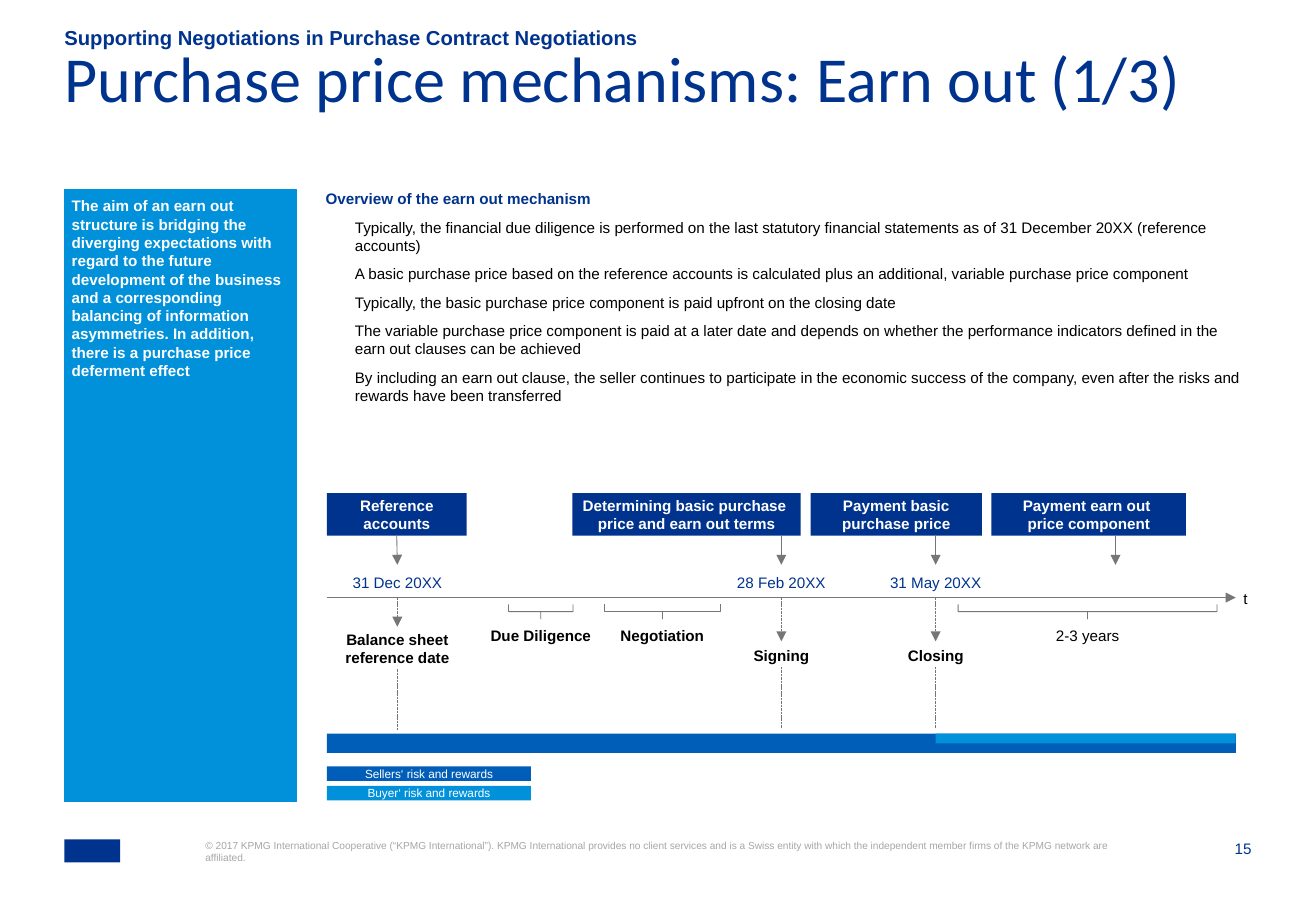
from dataclasses import dataclass

from pptx import Presentation
from pptx.dml.color import RGBColor
from pptx.enum.dml import MSO_LINE
from pptx.enum.shapes import MSO_CONNECTOR, MSO_SHAPE
from pptx.enum.text import MSO_ANCHOR, MSO_AUTO_SIZE, PP_ALIGN
from pptx.oxml.ns import qn
from pptx.util import Emu, Inches, Pt

LEFT, CENTER, RIGHT = PP_ALIGN.LEFT, PP_ALIGN.CENTER, PP_ALIGN.RIGHT
TOP, MIDDLE, BOTTOM = MSO_ANCHOR.TOP, MSO_ANCHOR.MIDDLE, MSO_ANCHOR.BOTTOM
NO_AUTOFIT = MSO_AUTO_SIZE.NONE
RECTANGLE, BRACE = MSO_SHAPE.RECTANGLE, MSO_SHAPE.RIGHT_BRACE
STRAIGHT, DASHED = MSO_CONNECTOR.STRAIGHT, MSO_LINE.SQUARE_DOT
COMPARISON_LAYOUT = 4
BOTTOM_SIDE = 2
COLUMNS, ROWS = 108.3, 75


@dataclass(frozen=True)
class Theme:
    navy: str = "00338D"
    blue: str = "005EB8"
    sky: str = "0091DA"
    grey: str = "747678"
    pale: str = "A6A6A6"
    black: str = "000000"
    white: str = "FFFFFF"
    font: str = "Arial"
    title_font: str = "Calibri"
    title: int = 38
    subtitle: int = 12
    body: int = 9
    legend: int = 7
    footnote: int = 6
    hairline: float = 0.5
    outline: float = 0.75
    gap: int = 6


class TimelineSlide:
    def __init__(self, deck, theme):
        self.theme = theme
        self.slide = deck.slides.add_slide(deck.slide_layouts[COMPARISON_LAYOUT])
        self.column = deck.slide_width / COLUMNS
        self.row = deck.slide_height / ROWS

    def point(self, x, y):
        return Emu(round(x * self.column)), Emu(round(y * self.row))

    def fill_text(self, box, lines, size, color, bold=False, align=LEFT,
                  anchor=TOP, inset=0, font=None, gap=0):
        frame = box.text_frame
        frame.text = lines[0]
        frame.word_wrap = True
        frame.auto_size = NO_AUTOFIT
        frame.vertical_anchor = anchor
        frame.margin_left = frame.margin_right = Inches(inset)
        frame.margin_top = frame.margin_bottom = Inches(inset)
        for line in lines[1:]:
            frame.add_paragraph().text = line
        for paragraph in frame.paragraphs:
            paragraph.alignment = align
            paragraph.space_before, paragraph.space_after = Pt(0), Pt(gap)
            for run in paragraph.runs:
                self.style(run, size, color, bold, font)
        return frame.paragraphs

    def style(self, run, size, color, bold, font=None):
        run.font.name = font or self.theme.font
        run.font.size = Pt(size)
        run.font.bold = bold
        run.font.color.rgb = RGBColor.from_string(color)

    def placeholder(self, idx, x, y, width, height, lines, size, color, **style):
        box = self.slide.placeholders[idx]
        box.left, box.top = self.point(x, y)
        box.width, box.height = self.point(width, height)
        paragraphs = self.fill_text(box, lines, size, color, **style)
        for paragraph in paragraphs:
            self.unbullet(paragraph, 0)
        return box, paragraphs

    def unbullet(self, paragraph, indent):
        properties = paragraph._p.get_or_add_pPr()
        properties.set("marL", str(Inches(indent)))
        properties.set("indent", "0")
        if properties.find(qn("a:buNone")) is None:
            properties.append(properties.makeelement(qn("a:buNone"), {}))

    def drop(self, idx):
        unused = self.slide.placeholders[idx]._element
        unused.getparent().remove(unused)

    def label(self, x, y, width, height, text, size, color, **style):
        box = self.slide.shapes.add_textbox(*self.point(x, y), *self.point(width, height))
        self.fill_text(box, [text], size, color, **style)

    def bar(self, x, y, width, height, fill, text="", size=9, **style):
        bar = self.slide.shapes.add_shape(
            RECTANGLE, *self.point(x, y), *self.point(width, height))
        bar.shadow.inherit = False
        bar.fill.solid()
        bar.fill.fore_color.rgb = RGBColor.from_string(fill)
        bar.line.fill.background()
        if text:
            self.fill_text(bar, [text], size, self.theme.white, align=CENTER,
                           anchor=MIDDLE, **style)
        return bar

    def outline(self, shape, color, width):
        shape.line.color.rgb = RGBColor.from_string(color)
        shape.line.width = Pt(width)

    def line(self, x1, y1, x2, y2, arrow=True, dashed=False, source=None):
        line = self.slide.shapes.add_connector(
            STRAIGHT, *self.point(x1, y1), *self.point(x2, y2))
        if source is not None:
            line.begin_connect(source, BOTTOM_SIDE)
        self.outline(line, self.theme.grey, self.theme.hairline)
        if dashed:
            line.line.dash_style = DASHED
        properties = line._element.spPr
        if arrow:
            stroke = properties.find(qn("a:ln"))
            stroke.append(stroke.makeelement(qn("a:tailEnd"), {"type": "triangle"}))
        properties.append(properties.makeelement(qn("a:effectLst"), {}))

    def bracket(self, center, span, y, depth):
        brace = self.slide.shapes.add_shape(
            BRACE, *self.point(center - depth / 2, y - span / 2), *self.point(depth, span))
        brace.rotation = 90
        brace.adjustments[0] = 0
        brace.adjustments[1] = 0.5
        brace.shadow.inherit = False
        brace.fill.background()
        self.outline(brace, self.theme.grey, self.theme.hairline)


def add_texts(page, theme):
    _, (title,) = page.placeholder(
        0, 5.3, 4.9, 97.5, 7.9, ["Purchase price mechanisms: Earn out (1/3)"],
        theme.title, theme.navy, font=theme.title_font)
    title.line_spacing = 0.7
    page.placeholder(
        1, 5.3, 2.2, 94, 1.9, ["Supporting Negotiations in Purchase Contract Negotiations"],
        theme.subtitle, theme.navy, bold=True, anchor=BOTTOM)
    aim, _ = page.placeholder(
        2, 5.3, 15.6, 19.1, 50.4,
        ["The aim of an earn out structure is bridging the diverging expectations with regard "
         "to the future development of the business and a corresponding balancing of "
         "information asymmetries. In addition, there is a purchase price deferment effect"],
        theme.body, theme.white, bold=True, inset=0.06, gap=theme.gap)
    aim.fill.solid()
    aim.fill.fore_color.rgb = RGBColor.from_string(theme.sky)
    page.outline(aim, theme.sky, theme.outline)
    _, overview = page.placeholder(
        4, 26.8, 15.6, 76.2, 19.5,
        ["Overview of the earn out mechanism",
         "Typically, the financial due diligence is performed on the last statutory financial "
         "statements as of 31 December 20XX (reference accounts)",
         "A basic purchase price based on the reference accounts is calculated plus an "
         "additional, variable purchase price component",
         "Typically, the basic purchase price component is paid upfront on the closing date",
         "The variable purchase price component is paid at a later date and depends on whether "
         "the performance indicators defined in the earn out clauses can be achieved",
         "By including an earn out clause, the seller continues to participate in the economic "
         "success of the company, even after the risks and rewards have been transferred"],
        theme.body, theme.black, gap=theme.gap)
    page.style(overview[0].runs[0], theme.body, theme.navy, True)
    for point in overview[1:]:
        page.unbullet(point, 0.24)
    page.drop(3)


def add_timeline(page, theme):
    start, end, axis = 26.9, 101.7, 49.2
    reference, signing, closing, earn_out = 32.7, 64.3, 77, 91.8
    page.line(start, axis, end, axis)
    page.label(100.8, 48.5, 3.4, 1.5, "t", theme.body, theme.black, align=CENTER)

    for x, width, text, moment in (
            (start, 11.5, "Reference accounts", reference),
            (47.1, 18.8, "Determining basic purchase \vprice and earn out terms", signing),
            (66.7, 14.1, "Payment basic purchase price", closing),
            (81.6, 16, "Payment earn out \vprice component", earn_out)):
        step = page.bar(x, 40.6, width, 3.5, theme.navy, text, theme.body, bold=True)
        page.line(moment, 44.1, moment, 46.5, source=step if moment == reference else None)

    for moment, date, event, width, tip, top, resume, stop in (
            (reference, "31 Dec 20XX", "Balance sheet reference date", 10.1, 51.6, 51.9, 55.1, 60.2),
            (signing, "28 Feb 20XX", "Signing", 11.5, 52.8, 53.2, 54.9, 60),
            (closing, "31 May 20XX", "Closing", 11.5, 52.8, 53.2, 54.9, 60)):
        page.label(moment - 4.8, 47.2, 9.6, 1.5, date, theme.body, theme.navy, align=CENTER)
        page.line(moment, axis, moment, tip, dashed=True)
        page.label(moment - width / 2, top, width, 1.5, event, theme.body, theme.black,
                   bold=True, align=CENTER)
        page.line(moment, resume, moment, stop, arrow=False, dashed=True)

    for center, span, phase, bold in ((44.5, 5.3, "Due Diligence", True),
                                      (54.5, 9.6, "Negotiation", True),
                                      (89.5, 21.3, "2-3 years", False)):
        page.bracket(center, span, 50.35, 1.2)
        page.label(center - 5.05, 51.6, 10.1, 1.5, phase, theme.body, theme.black,
                   bold=bold, align=CENTER)

    page.bar(start, 60.4, end - start, 1.6, theme.blue)
    page.bar(closing, 60.4, end - closing, 0.8, theme.sky)
    for y, color, party in ((63.1, theme.blue, "Sellers‘ risk and rewards"),
                            (64.7, theme.sky, "Buyer‘ risk and rewards")):
        page.bar(start, y, 16.8, 1.2, color, party, theme.legend, inset=0.04)


def add_footer(page, theme):
    page.bar(5.3, 69.1, 4.6, 1.9, theme.navy)
    page.label(
        16.9, 69.1, 74.9, 4.1,
        "© 2017 KPMG International Cooperative (“KPMG International”). KPMG International "
        "provides no client services and is a Swiss entity with which the independent member "
        "firms of the KPMG network are affiliated.", theme.footnote, theme.pale)
    page.label(98.7, 69.1, 4.3, 1.6, "15", theme.body, theme.navy, align=RIGHT)


def main():
    deck = Presentation()
    deck.slide_width, deck.slide_height = Inches(10.83), Inches(7.5)
    theme = Theme()
    page = TimelineSlide(deck, theme)
    add_texts(page, theme)
    add_timeline(page, theme)
    add_footer(page, theme)
    deck.save("out.pptx")


if __name__ == "__main__":
    main()
